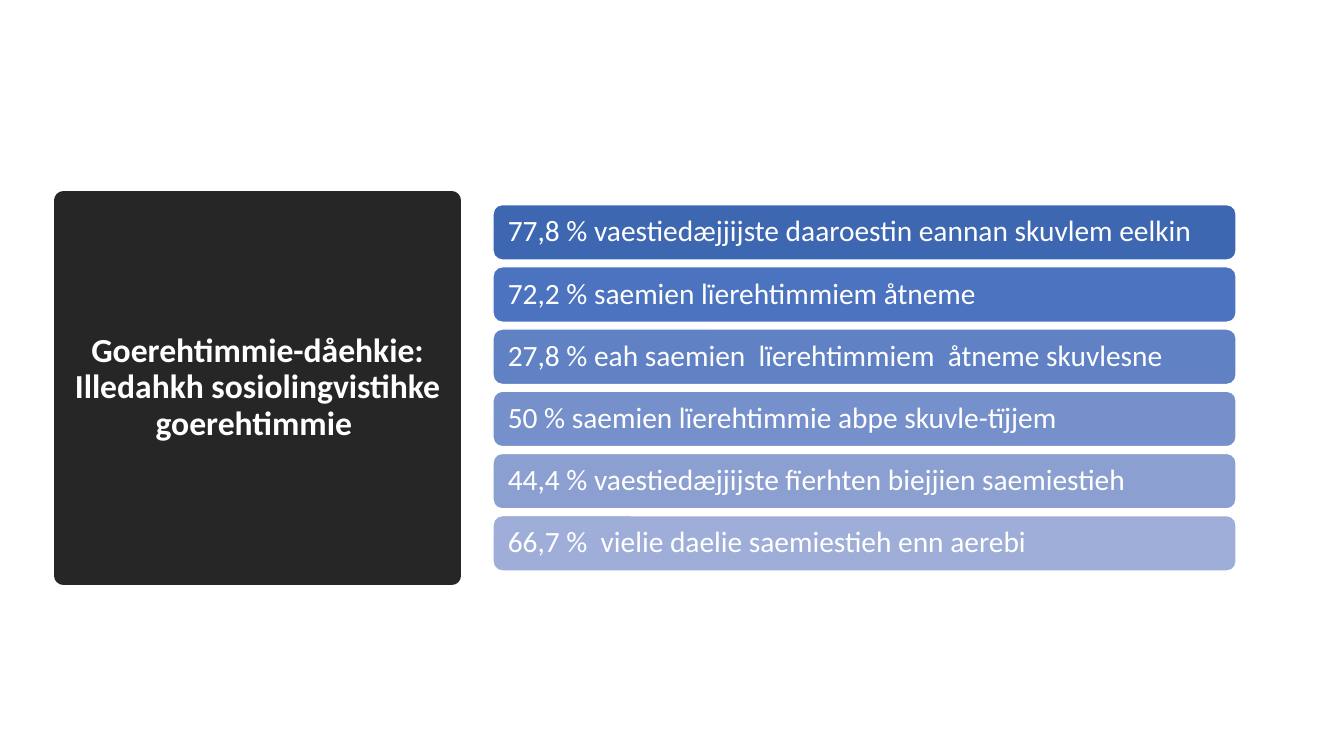
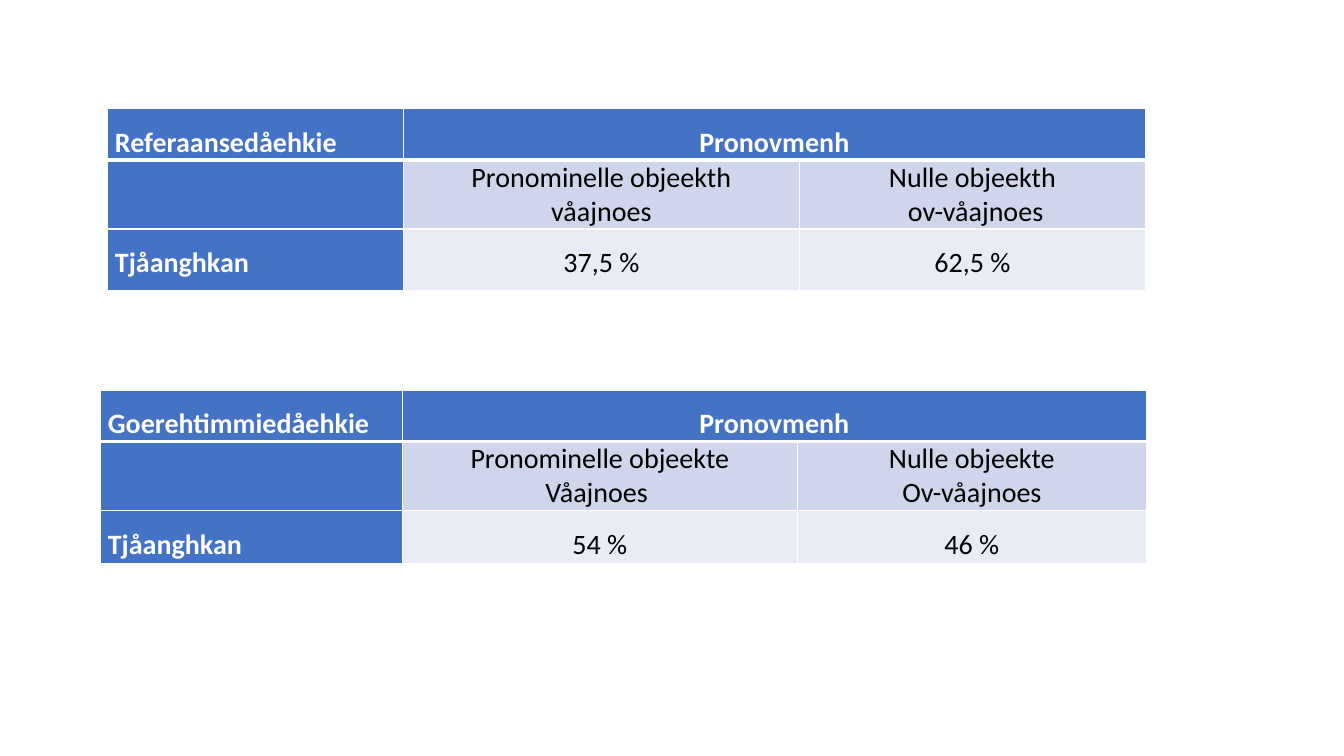
from dataclasses import dataclass
from typing import Any

import lxml.etree
import pptx
import pptx.dml.color
import pptx.enum.shapes
import pptx.enum.text
import pptx.oxml.ns
import pptx.util

Inches = pptx.util.Inches
Pt = pptx.util.Pt
ALIGN = pptx.enum.text.PP_ALIGN
MIDDLE = pptx.enum.text.MSO_ANCHOR.MIDDLE


# Theme: colours, font and type sizes
@dataclass(frozen=True)
class Theme:
    font: str = "Calibri"
    white: str = "FFFFFF"
    black: str = "000000"
    dark: str = "262626"
    blue: str = "4472C4"
    band: str = "CFD5EA"
    pale: str = "E9EBF5"
    title: float = 24
    bar: float = 21
    cell: float = 20


THEME = Theme()


@dataclass(frozen=True)
class Bar:
    text: str
    fill: str


@dataclass(frozen=True)
class Grid:
    left: float
    top: float
    cols: tuple[float, ...]
    rows: tuple[float, ...]
    cells: tuple[tuple[str, ...], ...]


BARS = (
    Bar("77,8 % vaestiedæjjijste daaroestin eannan skuvlem eelkin", "3E67B2"),
    Bar("72,2 % saemien lïerehtimmiem åtneme", "4C73BF"),
    Bar("27,8 % eah saemien  lïerehtimmiem  åtneme skuvlesne", "6181C5"),
    Bar("50 % saemien lïerehtimmie abpe skuvle-tïjjem", "7690CB"),
    Bar("44,4 % vaestiedæjjijste fïerhten biejjien saemiestieh", "8B9FD1"),
    Bar("66,7 %  vielie daelie saemiestieh enn aerebi", "9FAED8"),
)

GRIDS = (
    Grid(1.07, 1.08, (2.93, 3.93, 3.43), (0.29, 0.61, 0.61), (
        ("Referaansedåehkie", "Pronovmenh", ""),
        ("", "Pronominelle objeekth\nvåajnoes", "Nulle objeekth\n ov-våajnoes"),
        ("Tjåanghkan", "37,5 %", "62,5 %"),
    )),
    Grid(1, 3.87, (2.99, 3.92, 3.46), (0.31, 0.53, 0.53), (
        ("Goerehtimmiedåehkie", "Pronovmenh", ""),
        ("", "Pronominelle objeekte\nVåajnoes ", "Nulle objeekte\nOv-våajnoes"),
        ("Tjåanghkan", "54 %", "46 %"),
    )),
)


# Shared helpers
def tint(code: str) -> pptx.dml.color.RGBColor:
    return pptx.dml.color.RGBColor.from_string(code)


def put(item: Any, values: dict[str, Any]) -> None:
    for name, value in values.items():
        setattr(item, name, value)


def paint(shape: Any, fill: str, edge: str, width: float) -> None:
    shape.fill.solid()
    shape.fill.fore_color.rgb = tint(fill)
    shape.line.color.rgb = tint(edge)
    shape.line.width = Pt(width)


def write(frame: Any, text: str, size: float, color: str, bold: bool = False,
          align: Any = ALIGN.LEFT, space: float = 1.0) -> None:
    frame.text = text
    for para in frame.paragraphs:
        put(para, {"alignment": align, "line_spacing": space})
        for run in para.runs:
            put(run.font, {"name": THEME.font, "size": Pt(size), "bold": bold})
            run.font.color.rgb = tint(color)


# Slide 1: title block and graded bars
def add_head(slide: Any, text: str) -> None:
    head = slide.shapes.title
    put(head, {"left": Inches(0.63), "top": Inches(1.99),
               "width": Inches(3.85), "height": Inches(3.72)})
    paint(head, THEME.dark, THEME.dark, 13.75)
    put(head.text_frame, {"word_wrap": True, "vertical_anchor": MIDDLE,
                          "auto_size": pptx.enum.text.MSO_AUTO_SIZE.NONE})
    write(head.text_frame, text, THEME.title, THEME.white, True,
          ALIGN.CENTER, 0.9)


def add_bar(slide: Any, bar: Bar, top: float) -> None:
    kind = pptx.enum.shapes.MSO_SHAPE.ROUNDED_RECTANGLE
    shape = slide.shapes.add_shape(
        kind, Inches(4.89), Inches(top), Inches(7.37), Inches(0.55))
    shape.shadow.inherit = False
    paint(shape, bar.fill, THEME.white, 1)
    put(shape.text_frame, {
        "word_wrap": True, "vertical_anchor": MIDDLE,
        "margin_left": Inches(0.12), "margin_right": Inches(0.12),
        "margin_top": Inches(0.09), "margin_bottom": Inches(0.09)})
    write(shape.text_frame, bar.text, THEME.bar, THEME.white, space=0.9)


# Slide 2: tables
def add_edges(cell: Any, row: int) -> None:
    props = cell._tc.get_or_add_tcPr()
    thick = {(0, "B"), (1, "T")}
    for side in "LRTB":
        width = Pt(3 if (row, side) in thick else 1)
        line = lxml.etree.SubElement(
            props, pptx.oxml.ns.qn(f"a:ln{side}"), w=str(width))
        fill = lxml.etree.SubElement(line, pptx.oxml.ns.qn("a:solidFill"))
        lxml.etree.SubElement(
            fill, pptx.oxml.ns.qn("a:srgbClr"), val=THEME.white)


def add_cell(cell: Any, text: str, row: int, col: int) -> None:
    head = row == 0 or col == 0
    put(cell, {"margin_left": Inches(0.07), "margin_right": Inches(0.07),
               "margin_top": 0, "margin_bottom": 0})
    add_edges(cell, row)
    cell.fill.solid()
    shade = THEME.blue if head else (THEME.band, THEME.pale)[row - 1]
    cell.fill.fore_color.rgb = tint(shade)
    write(cell.text_frame, text, THEME.cell,
          THEME.white if head else THEME.black, head,
          ALIGN.CENTER if col else ALIGN.LEFT, 1.0 if row == 1 else 1.5)


def add_grid(slide: Any, grid: Grid) -> None:
    table = slide.shapes.add_table(
        len(grid.rows), len(grid.cols), Inches(grid.left), Inches(grid.top),
        Inches(sum(grid.cols)), Inches(sum(grid.rows))).table
    for col, width in zip(table.columns, grid.cols):
        col.width = Inches(width)
    for row, height in zip(table.rows, grid.rows):
        row.height = Inches(height)
    for row, texts in enumerate(grid.cells):
        for col, text in enumerate(texts):
            add_cell(table.cell(row, col), text, row, col)
    table.cell(0, 1).merge(table.cell(0, 2))


def main() -> None:
    deck = pptx.Presentation()
    put(deck, {"slide_width": Inches(13.33), "slide_height": Inches(7.5)})

    slide = deck.slides.add_slide(deck.slide_layouts.get_by_name("Title Only"))
    add_head(slide, "Goerehtimmie-dåehkie: Illedahkh sosiolingvistihke "
                    "goerehtimmie ")
    for step, bar in enumerate(BARS):
        add_bar(slide, bar, 2.03 + step * 0.617)

    slide = deck.slides.add_slide(deck.slide_layouts.get_by_name("Blank"))
    for grid in GRIDS:
        add_grid(slide, grid)

    deck.save("out.pptx")


if __name__ == "__main__":
    main()
